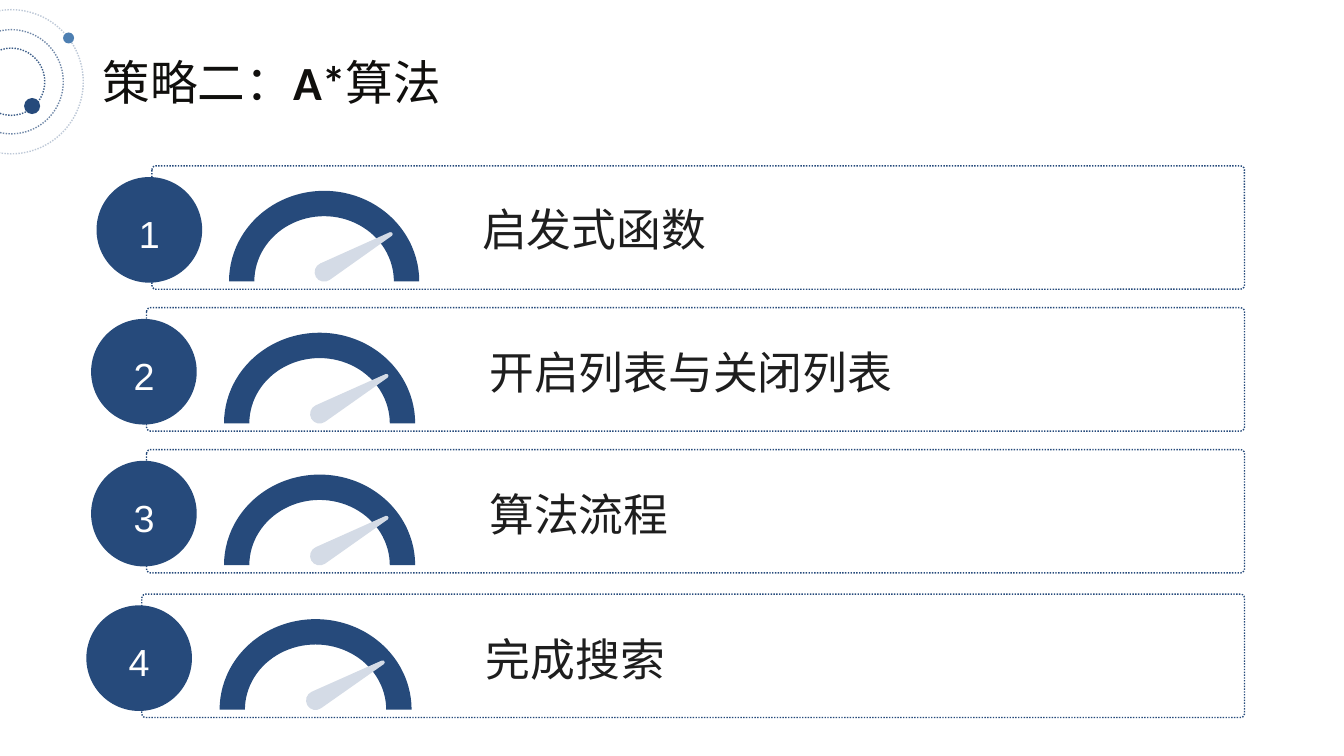
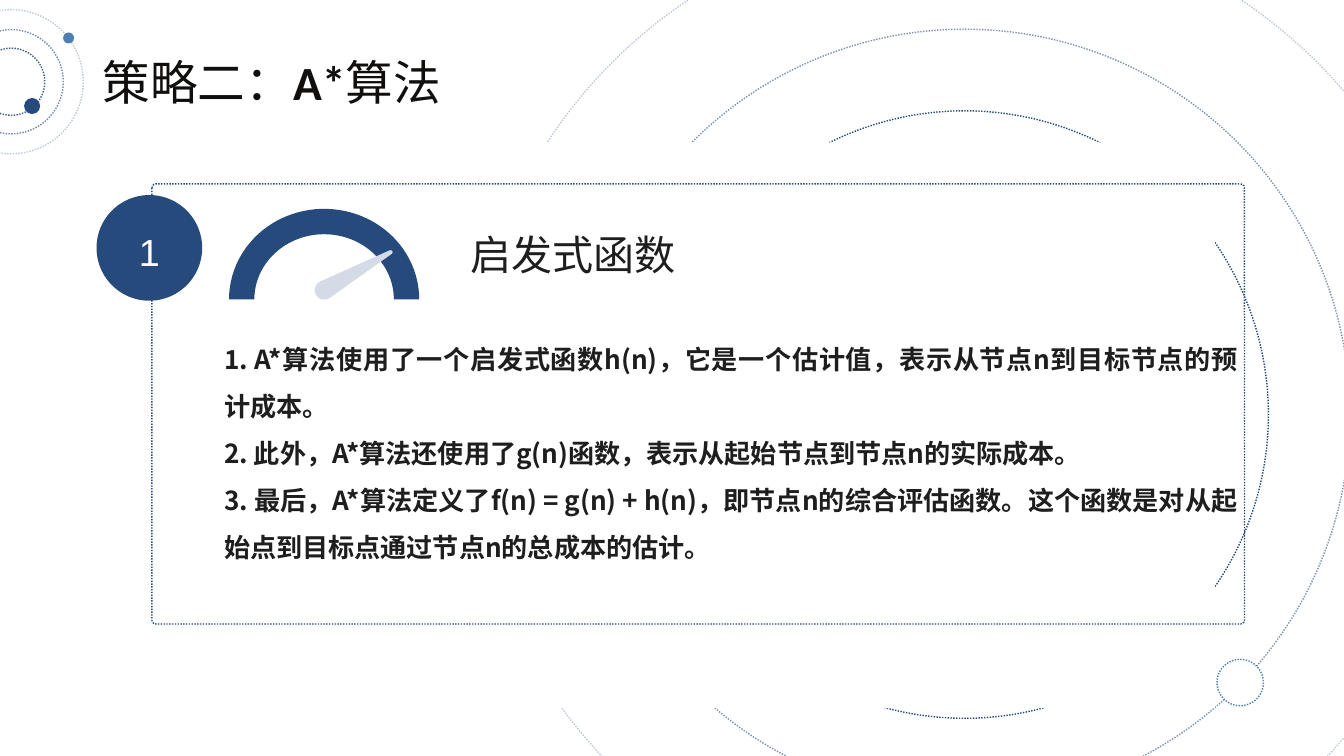
from math import atan2, cos, hypot, pi, sin

from lxml import etree
from pptx import Presentation
from pptx.dml.color import RGBColor
from pptx.enum.dml import MSO_LINE
from pptx.enum.shapes import MSO_SHAPE
from pptx.enum.text import MSO_ANCHOR, MSO_AUTO_SIZE, PP_ALIGN
from pptx.oxml.ns import qn
from pptx.util import Pt

OVAL, RECTANGLE = MSO_SHAPE.OVAL, MSO_SHAPE.RECTANGLE
ROUNDED, BLOCK_ARC = MSO_SHAPE.ROUNDED_RECTANGLE, MSO_SHAPE.BLOCK_ARC
DOTTED = MSO_LINE.ROUND_DOT
TOP, NO_AUTOFIT = MSO_ANCHOR.TOP, MSO_AUTO_SIZE.NONE
LEFT, CENTER, JUSTIFY = PP_ALIGN.LEFT, PP_ALIGN.CENTER, PP_ALIGN.JUSTIFY

# Shared style
NAVY, BLUE, PALE, WHITE = "264A7B", "4D7FB2", "D4DBE6", "FFFFFF"
TITLE_COLOR, INK = "100F0D", "1E1E1E"
LATIN, CHINESE, DIGITS = "Calibri", "Noto Sans CJK SC", "Arial"
TITLE_ONLY = 5

# Geometry shared by every numbered panel
PANEL_RIGHT = 1333.4
PANEL_WIDTH, PANEL_HEIGHT = 1170.6, 132.2
CORNER = 4.2
GAUGE_WIDTH, GAUGE_HEIGHT = 203.8, 97
GAUGE_BAND = 0.14

# Number, left, top, label left, label top, label text
TOPICS = [
    ("1", 162.8, 177.7, 516.6, 230.4, "启发式函数"),
    ("2", 157, 329.7, 524.2, 383.7, "开启列表与关闭列表"),
    ("3", 157, 481.7, 524.2, 535.7, "算法流程"),
    ("4", 151.9, 636.6, 520.6, 691, "完成搜索"),
]
HEURISTIC_POINTS = [
    "1. A*算法使用了一个启发式函数h(n)，它是一个估计值，表示从节点n到目标节点的预计成本。",
    "2. 此外，A*算法还使用了g(n)函数，表示从起始节点到节点n的实际成本。",
    "3. 最后，A*算法定义了f(n) = g(n) + h(n)，即节点n的综合评估函数。"
    "这个函数是对从起始点到目标点通过节点n的总成本的估计。",
]


def color(value):
    return RGBColor.from_string(value)


def paint(shape, fill=None, line=None, opacity=100):
    """Give a shape a plain fill and a dotted outline, or neither."""
    shape.shadow.inherit = False
    if fill:
        shape.fill.solid()
        shape.fill.fore_color.rgb = color(fill)
    else:
        shape.fill.background()
    if not line:
        shape.line.fill.background()
        return
    shape.line.color.rgb = color(line)
    shape.line.width = Pt(1.5)
    shape.line.dash_style = DOTTED
    if opacity < 100:
        tint = shape.element.spPr.xpath("./a:ln//a:srgbClr")[0]
        etree.SubElement(tint, qn("a:alpha"), val=str(opacity * 1000))


def add_preset(page, kind, left, top, width, height, **look):
    shape = page.shapes.add_shape(kind, Pt(left), Pt(top), Pt(width), Pt(height))
    paint(shape, **look)
    return shape


def add_circle(page, center_x, center_y, diameter, **look):
    radius = diameter / 2
    add_preset(page, OVAL, center_x - radius, center_y - radius,
               diameter, diameter, **look)


# Text
def format_frame(shape):
    frame = shape.text_frame
    frame.margin_left = frame.margin_top = 0
    frame.margin_right = frame.margin_bottom = 0
    frame.word_wrap = True
    frame.vertical_anchor = TOP
    frame.auto_size = NO_AUTOFIT
    return frame


def add_span(para, text, size, ink, font=LATIN, bold=False):
    span = para.add_run()
    span.text = text
    span.font.size = Pt(size)
    span.font.name = font
    span.font.bold = bold
    span.font.color.rgb = color(ink)
    east_asian = etree.Element(qn("a:ea"), typeface=CHINESE)
    span.font._element.find(qn("a:latin")).addnext(east_asian)


def add_text(page, left, top, width, height, lines, size, ink, spacing,
             align=LEFT, **style):
    box = page.shapes.add_textbox(Pt(left), Pt(top), Pt(width), Pt(height))
    frame = format_frame(box)
    for index, line in enumerate(lines):
        para = frame.add_paragraph() if index else frame.paragraphs[0]
        para.alignment = align
        para.line_spacing = spacing
        add_span(para, line, size, ink, **style)


def set_title(page):
    title = page.shapes.title
    title.left, title.top = Pt(110), Pt(56.9)
    title.width, title.height = Pt(492.5), Pt(61.9)
    para = format_frame(title).paragraphs[0]
    para.alignment = LEFT
    para.line_spacing = Pt(61.2)
    for text, bold in (("策略二：", False), ("A*", True), ("算法", False)):
        add_span(para, text, 51, TITLE_COLOR, bold=bold)


# Decoration
def add_rings(page, center_x, center_y, rings):
    for diameter, opacity in rings:
        add_circle(page, center_x, center_y, diameter, line=NAVY, opacity=opacity)


def add_corner_orbit(page):
    add_rings(page, 12, 87.6, [(154.4, 30), (111.6, 65), (72, 90)])
    add_circle(page, 34.4, 113.6, 17.2, fill=NAVY)
    add_circle(page, 73.5, 40.7, 11.8, fill=BLUE)


def add_background_orbit(page):
    add_rings(page, 1033.6, 444.2, [(1067.8, 30), (825.8, 60), (650.9, 100)])
    add_circle(page, 1328.8, 731.3, 49.7, fill=WHITE, line=BLUE)
    add_preset(page, RECTANGLE, 149.8, 152.6, 1152, 606.2, fill=WHITE)


# Numbered panel
def arc_points(center_x, center_y, radius, start, end, steps):
    angles = [start + (end - start) * step / steps for step in range(steps + 1)]
    return [(Pt(center_x + radius * cos(angle)), Pt(center_y + radius * sin(angle)))
            for angle in angles]


def add_needle(page, hub_x, hub_y, tip_x, tip_y):
    """Draw a needle that tapers from a round hub to a small round tip."""
    hub_radius, tip_radius = 10.2, 2.2
    heading = atan2(tip_y - hub_y, tip_x - hub_x)
    length = hypot(tip_x - hub_x, tip_y - hub_y)
    side = pi / 2 - (hub_radius - tip_radius) / length
    hub = arc_points(hub_x, hub_y, hub_radius,
                     heading + side, heading + 2 * pi - side, 8)
    tip = arc_points(tip_x, tip_y, tip_radius,
                     heading - side, heading + side, 3)
    builder = page.shapes.build_freeform(*hub[0])
    builder.add_line_segments(hub[1:] + tip, close=True)
    paint(builder.convert_to_shape(), fill=PALE)


def add_gauge(page, left, top, stretch):
    width = GAUGE_WIDTH * stretch
    dial = add_preset(page, BLOCK_ARC, left, top, width, 2 * GAUGE_HEIGHT, fill=NAVY)
    dial.adjustments[2] = GAUGE_BAND
    add_needle(page, left + width / 2, top + 87.1,
               left + 173.2 * stretch, top + 46.3)


def add_panel(page, number, left, top, label_left, label_top, label,
              height=PANEL_HEIGHT, label_size=48):
    width = PANEL_RIGHT - left
    stretch = width / PANEL_WIDTH
    frame = add_preset(page, ROUNDED, left, top, width, height, line=NAVY)
    frame.adjustments[0] = CORNER / PANEL_HEIGHT if height == PANEL_HEIGHT else CORNER / height
    add_gauge(page, left + 82.6 * stretch, top + 26.8, stretch)
    add_text(page, label_left, label_top, 490, 43.7, [label],
             label_size, INK, Pt(43.7))
    add_circle(page, left - 2.8, top + 68.6, 113.2, fill=NAVY)
    add_text(page, left - 53.1, top + 48.3, 100.8, 49, [number], 40.4, WHITE,
             Pt(48.4), align=CENTER, font=DIGITS)


def add_page(deck):
    page = deck.slides.add_slide(deck.slide_layouts[TITLE_ONLY])
    set_title(page)
    return page


def build_overview(deck):
    page = add_page(deck)
    add_corner_orbit(page)
    for topic in TOPICS:
        add_panel(page, *topic)


def build_heuristic(deck):
    page = add_page(deck)
    add_background_orbit(page)
    add_corner_orbit(page)
    number, left, *_, label = TOPICS[0]
    add_panel(page, number, left, 197, 504, 254.9, label,
              height=471.6, label_size=44)
    add_text(page, 240.2, 351.1, 1085.8, 328.3, HEURISTIC_POINTS, 28, INK, 1.5,
             align=JUSTIFY, font=CHINESE, bold=True)


def main():
    deck = Presentation()
    deck.slide_width, deck.slide_height = Pt(1440), Pt(810)
    build_overview(deck)
    build_heuristic(deck)
    deck.save("out.pptx")


if __name__ == "__main__":
    main()
